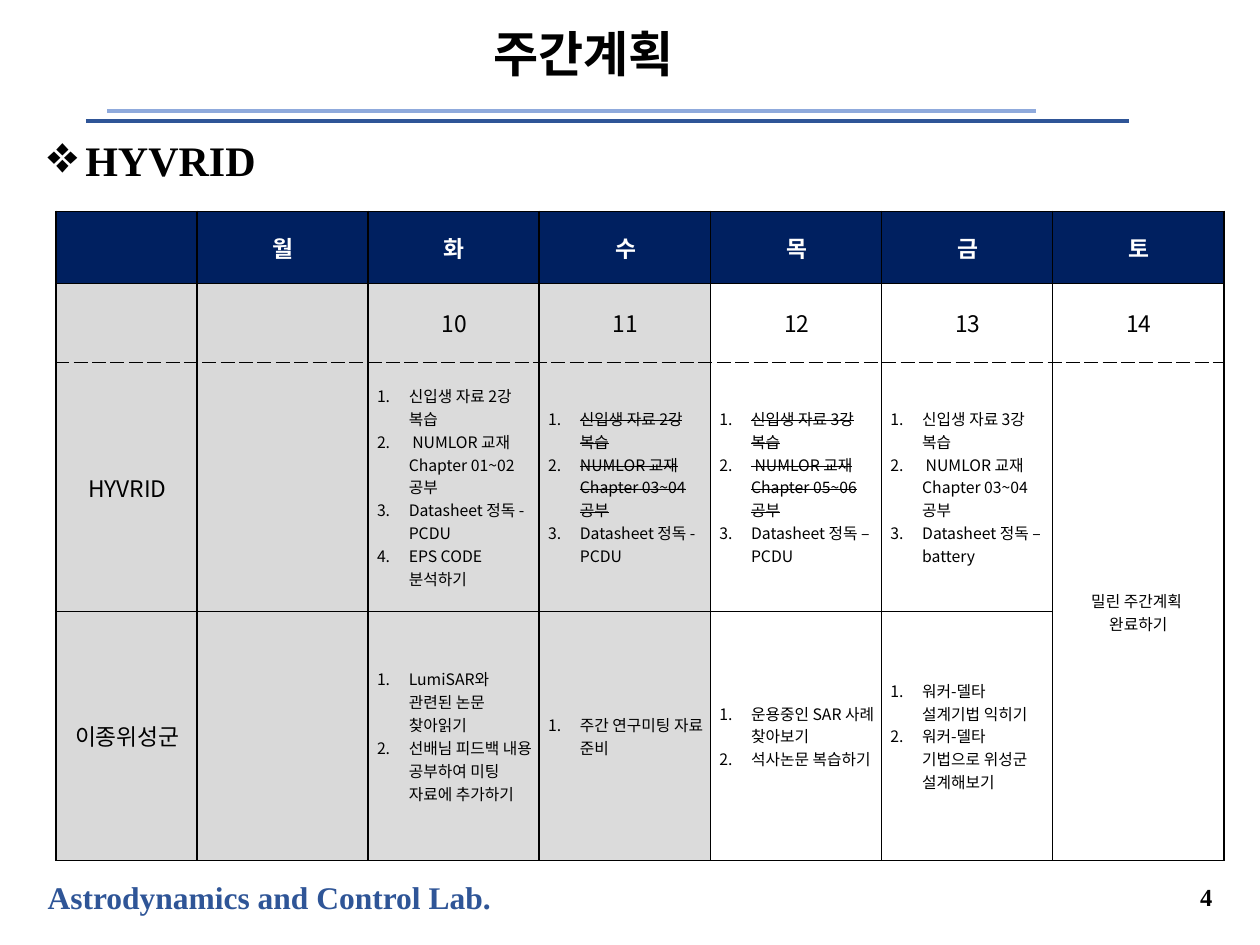
from lxml.etree import SubElement
from pptx import Presentation
from pptx.dml.color import RGBColor
from pptx.enum.shapes import MSO_CONNECTOR
from pptx.enum.text import MSO_ANCHOR, PP_ALIGN
from pptx.oxml.ns import qn
from pptx.util import Cm, Pt

COLORS = {
    "ink": "000000", "white": "FFFFFF", "navy": "002060", "blue": "2F5597",
    "light_blue": "8FAADC", "label_gray": "D9D9D9", "past_gray": "DBDBDB",
}
KOREAN, ROMAN = "Noto Sans CJK KR", "Times New Roman"

DAYS = ["", "월", "화", "수", "목", "금", "토"]
DATES = ["", "", "10", "11", "12", "13", "14"]
HYVRID_PLAN = ["HYVRID", "",
    ["신입생 자료 2강 복습", " NUMLOR 교재 Chapter 01~02 공부",
     "Datasheet 정독 - PCDU", "EPS CODE 분석하기"],
    ["신입생 자료 2강 복습", "NUMLOR 교재 Chapter 03~04 공부", "Datasheet 정독 - PCDU"],
    ["신입생 자료 3강 복습", " NUMLOR 교재 Chapter 05~06 공부", "Datasheet 정독 – PCDU"],
    ["신입생 자료 3강 복습", " NUMLOR 교재 Chapter 03~04 공부", "Datasheet 정독 – battery"],
    ("밀린 주간계획 ", "완료하기")]
CONSTELLATION_PLAN = ["이종위성군", "",
    ["LumiSAR와 관련된 논문 찾아읽기", "선배님 피드백 내용 공부하여 미팅 자료에 추가하기"],
    ["주간 연구미팅 자료 준비"],
    ["운용중인 SAR 사례 찾아보기", "석사논문 복습하기"],
    ["워커-델타 설계기법 익히기", "워커-델타 기법으로 위성군 설계해보기"],
    ""]
WEEK = [DAYS, DATES, HYVRID_PLAN, CONSTELLATION_PLAN]
STRUCK_ITEMS = {(2, 3): 2, (2, 4): 2}

COLUMN_WIDTHS = [2.84] + [3.45] * 6
ROW_HEIGHTS = [1.45, 1.6, 5.02, 5.02]

RULES = [(1.73, 22.76, 2.44, "blue"), (2.16, 20.88, 2.24, "light_blue")]
CAPTIONS = [
    ("Astrodynamics and Control Lab.", (0.71, 17.58, 9.55, 1.02), 18, "blue",
     {"word_wrap": False}, {}),
    ("4", (21.97, 17.58, 2.72, 0.99), 14, "ink",
     {"word_wrap": True, "vertical_anchor": MSO_ANCHOR.MIDDLE},
     {"alignment": PP_ALIGN.RIGHT}),
    ("주간계획", (2.46, 0.2, 18.62, 1.9), 28, "ink",
     {"word_wrap": True, "vertical_anchor": MSO_ANCHOR.MIDDLE},
     {"alignment": PP_ALIGN.CENTER, "line_spacing": 0.9}),
]
HEADING = ("HYVRID", (0.71, 2.59, 23.98, 14.94), 24, "ink", {"word_wrap": True}, {})
CELL_FORMAT = {
    "vertical_anchor": MSO_ANCHOR.MIDDLE, "margin_left": Cm(0.18),
    "margin_right": Cm(0.15), "margin_top": Cm(0.1), "margin_bottom": Cm(0.1),
}
NOTE_FORMAT = {"margin_left": Cm(0.03), "margin_right": Cm(0.03),
               "margin_top": Cm(0.03), "margin_bottom": 0}


def apply(target, values):
    for name, value in values.items():
        setattr(target, name, value)


def rgb(color):
    return RGBColor.from_string(COLORS[color])


def write(paragraph, words, size, color, bold=False, latin=KOREAN, struck=False):
    run = paragraph.add_run()
    run.text = words
    apply(run.font, {"size": Pt(size), "bold": bold, "name": latin})
    run.font.color.rgb = rgb(color)
    properties = run.font._element
    SubElement(properties, qn("a:ea"), typeface=KOREAN)
    if struck:
        properties.set("strike", "sngStrike")


def add_bullet(paragraph, left, hanging, tag, percent=100, **values):
    properties = paragraph._p.get_or_add_pPr()
    properties.set("marL", str(Cm(left)))
    properties.set("indent", str(-Cm(hanging)))
    SubElement(properties, qn("a:buSzPct"), val=str(percent * 1000))
    SubElement(properties, qn(tag), **values)


def add_caption(slide, words, place, size, color, frame_format, paragraph_format):
    frame = slide.shapes.add_textbox(*map(Cm, place)).text_frame
    apply(frame, frame_format)
    paragraph = frame.paragraphs[0]
    apply(paragraph, paragraph_format)
    write(paragraph, words, size, color, True, ROMAN)
    return paragraph


def add_rule(slide, start, end, y, color):
    rule = slide.shapes.add_connector(
        MSO_CONNECTOR.STRAIGHT, Cm(start), Cm(y), Cm(end), Cm(y))
    rule.line.color.rgb = rgb(color)
    rule.line.width = Pt(2.25)
    SubElement(rule._element.spPr, qn("a:effectLst"))


def add_borders(cell, dashed_side):
    properties = cell._tc.get_or_add_tcPr()
    for side in "LRTB":
        border = SubElement(properties, qn(f"a:ln{side}"), w=str(Pt(1)))
        fill = SubElement(border, qn("a:solidFill"))
        SubElement(fill, qn("a:srgbClr"), val=COLORS["ink"])
        SubElement(border, qn("a:prstDash"),
                   val="sysDash" if side == dashed_side else "solid")


def cell_color(row, column):
    if row == 0:
        return "navy"
    return "label_gray" if column < 2 else "past_gray" if column < 4 else "white"


def fill_cell(cell, entry, row, column):
    apply(cell, CELL_FORMAT)
    add_borders(cell, {1: "B", 2: "T"}.get(row))
    cell.fill.solid()
    cell.fill.fore_color.rgb = rgb(cell_color(row, column))
    if not entry:
        return
    if isinstance(entry, tuple):
        apply(cell, NOTE_FORMAT)
    lines = [entry] if isinstance(entry, str) else entry
    size = 13 if isinstance(entry, str) else 9
    frame = cell.text_frame
    for index, words in enumerate(lines):
        paragraph = frame.add_paragraph() if index else frame.paragraphs[0]
        if isinstance(entry, list):
            add_bullet(paragraph, 0.64, 0.64, "a:buAutoNum", type="arabicPeriod")
        else:
            paragraph.alignment = PP_ALIGN.CENTER
        write(paragraph, words, size, "ink" if row else "white", row == 0,
              struck=index < STRUCK_ITEMS.get((row, column), 0))


def add_week(slide):
    week = slide.shapes.add_table(
        len(WEEK), len(DAYS), Cm(1.13), Cm(4.26),
        Cm(sum(COLUMN_WIDTHS)), Cm(sum(ROW_HEIGHTS))).table
    apply(week, {"first_row": False, "horz_banding": False})
    for column, width in zip(week.columns, COLUMN_WIDTHS):
        column.width = Cm(width)
    for row, height in zip(week.rows, ROW_HEIGHTS):
        row.height = Cm(height)
    for row, entries in enumerate(WEEK):
        for column, entry in enumerate(entries):
            fill_cell(week.cell(row, column), entry, row, column)
    week.cell(2, 6).merge(week.cell(3, 6))


def main():
    presentation = Presentation()
    apply(presentation, {"slide_width": Cm(25.4), "slide_height": Cm(19.05)})
    slide = presentation.slides.add_slide(presentation.slide_layouts[6])
    for rule in RULES:
        add_rule(slide, *rule)
    for caption in CAPTIONS:
        add_caption(slide, *caption)
    heading = add_caption(slide, *HEADING)
    add_bullet(heading, 0.76, 1.03, "a:buChar", percent=125, char="❖")
    add_week(slide)
    presentation.save("out.pptx")


if __name__ == "__main__":
    main()
